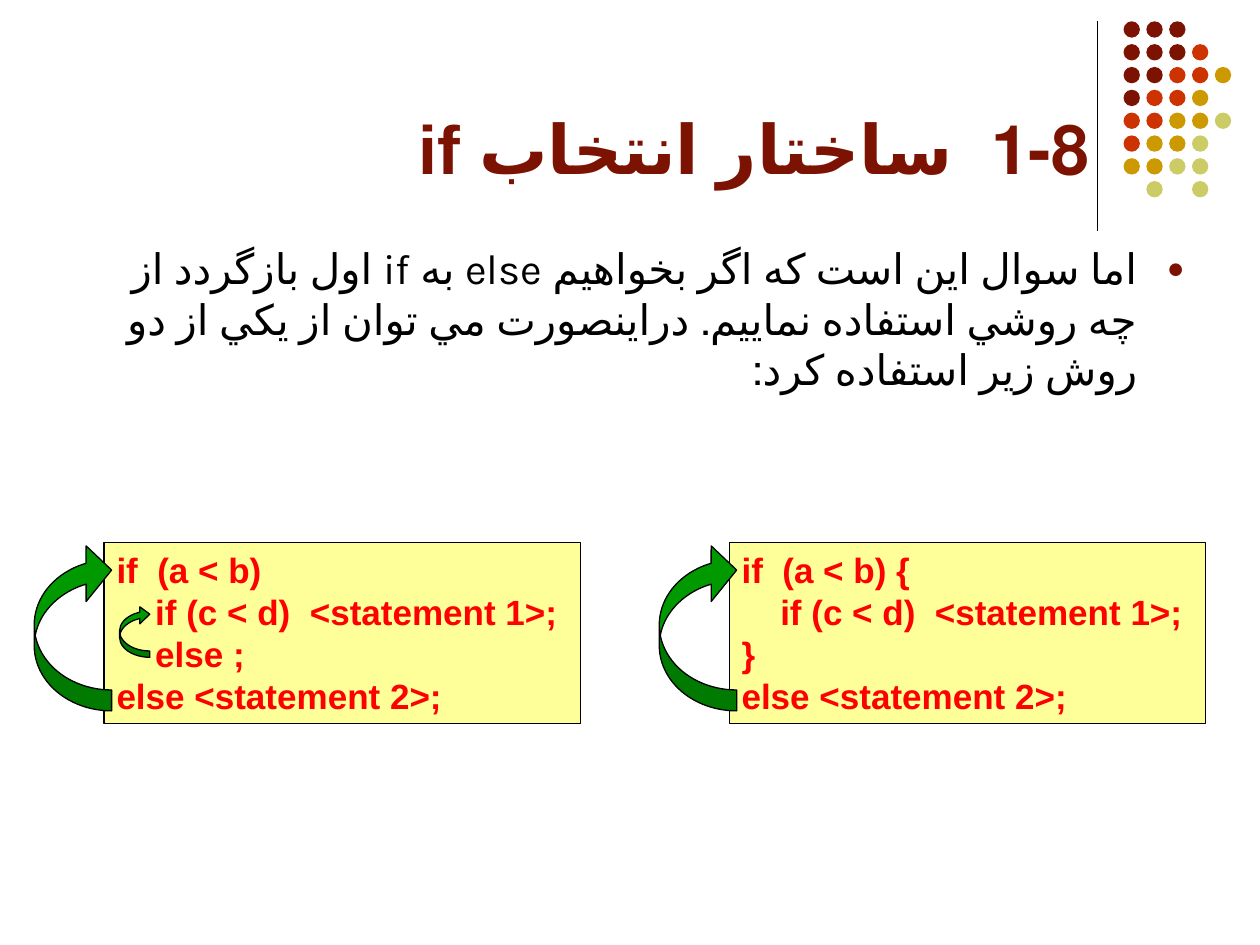
import pptx
import pptx.dml.color
import pptx.enum.shapes
import pptx.enum.text
import pptx.oxml
import pptx.oxml.ns
import pptx.util
import pptx.enum.lang
from pptx.util import Cm

RGBColor = pptx.dml.color.RGBColor
SHAPE = pptx.enum.shapes.MSO_SHAPE
ALIGN = pptx.enum.text.PP_ALIGN
ANCHOR = pptx.enum.text.MSO_ANCHOR
LANGUAGE = pptx.enum.lang.MSO_LANGUAGE_ID

MAROON = RGBColor(0x7C, 0x13, 0x02)
RUST = RGBColor(0xCC, 0x33, 0x00)
GOLD = RGBColor(0xCC, 0x99, 0x00)
OLIVE = RGBColor(0xCC, 0xCC, 0x66)
BLACK = RGBColor(0, 0, 0)
RED = RGBColor(0xFF, 0, 0)
CREAM = RGBColor(0xFF, 0xFF, 0x99)
GREEN = RGBColor(0, 0x99, 0)

DOT_COLORS = {"M": MAROON, "R": RUST, "G": GOLD, "O": OLIVE}
DOT_ROWS = ["MMM", "MMMR", "MMRRG", "MRRG", "RRGGO", "RGGO", "GGOO", " O O"]
CODE_INDENT = 0.78


def write(paragraph, text, size, color, font="Arial", bold=False,
          align=ALIGN.LEFT, rtl=False, indent=0, hanging=0, before=0):
    run = paragraph.add_run()
    run.text = text
    run.font.size = pptx.util.Pt(size)
    run.font.name = font
    run.font.bold = bold
    run.font.color.rgb = color
    run.font.language_id = LANGUAGE.FARSI if rtl else LANGUAGE.ENGLISH_US
    paragraph.alignment = align
    paragraph.space_before = pptx.util.Pt(before)
    properties = paragraph._p.get_or_add_pPr()
    properties.set("rtl", str(int(rtl)))
    properties.set("marL", str(Cm(indent)))
    properties.set("indent", str(Cm(-hanging)))
    return properties


def add_filled(slide, preset, left, top, width, height, fill, outlined=True):
    shape = slide.shapes.add_shape(
        preset, Cm(left), Cm(top), Cm(width), Cm(height))
    shape.shadow.inherit = False
    shape.fill.solid()
    shape.fill.fore_color.rgb = fill
    if outlined:
        shape.line.color.rgb = BLACK
        shape.line.width = pptx.util.Pt(0.75)
    else:
        shape.line.fill.background()
    return shape


def add_ornament(slide, left, top, rule_height):
    rule = slide.shapes.add_connector(
        pptx.enum.shapes.MSO_CONNECTOR.STRAIGHT,
        Cm(left), Cm(top), Cm(left), Cm(top + rule_height))
    rule.line.color.rgb = BLACK
    rule.line.width = pptx.util.Pt(0.75)
    rule._element.spPr.append(pptx.oxml.parse_xml(
        f'<a:effectLst {pptx.oxml.ns.nsdecls("a")}/>'))
    pitch, diameter, gap = 0.46, 0.33, 0.53
    for row, dots in enumerate(DOT_ROWS):
        for column, key in enumerate(dots):
            if key in DOT_COLORS:
                add_filled(slide, SHAPE.OVAL, left + gap + column * pitch,
                           top + row * pitch, diameter, diameter,
                           DOT_COLORS[key], outlined=False)


def add_title(slide, text, left, top, width, height):
    title = slide.shapes.title
    title.left, title.top = Cm(left), Cm(top)
    title.width, title.height = Cm(width), Cm(height)
    frame = title.text_frame
    frame.auto_size = pptx.enum.text.MSO_AUTO_SIZE.NONE
    frame.vertical_anchor = ANCHOR.BOTTOM
    write(frame.paragraphs[0], text, 39, MAROON, bold=True,
          align=ALIGN.RIGHT, rtl=True)


def add_question(slide, text, left, top, width, height):
    question = slide.shapes.add_textbox(
        Cm(left), Cm(top), Cm(width), Cm(height))
    frame = question.text_frame
    frame.word_wrap = True
    properties = write(frame.paragraphs[0], text, 24, BLACK, font="Karla",
                       align=ALIGN.RIGHT, rtl=True, indent=0.95,
                       hanging=0.95, before=6)
    namespace = pptx.oxml.ns.nsdecls("a")
    for bullet in (
            f'<a:buClr {namespace}><a:srgbClr val="{MAROON}"/></a:buClr>',
            f'<a:buSzPct {namespace} val="70000"/>',
            f'<a:buFont {namespace} typeface="Arial"/>',
            f'<a:buChar {namespace} char="●"/>'):
        properties.append(pptx.oxml.parse_xml(bullet))


def add_return_arrow(slide, left, top, width, height, adjustments):
    arrow = add_filled(slide, SHAPE.CURVED_LEFT_ARROW,
                       left, top, width, height, GREEN)
    arrow.rotation = 180
    for index, value in enumerate(adjustments):
        arrow.adjustments[index] = value


def add_code(slide, lines, left, top, width, height, inner_arrow=False):
    code = add_filled(slide, SHAPE.RECTANGLE, left, top, width, height, CREAM)
    frame = code.text_frame
    frame.word_wrap = True
    frame.vertical_anchor = ANCHOR.TOP
    for index, (level, text) in enumerate(lines):
        paragraph = frame.add_paragraph() if index else frame.paragraphs[0]
        write(paragraph, text, 20, RED, bold=True, indent=level * CODE_INDENT)
    add_return_arrow(slide, left - 1.41, top, 1.56, 3.4, (0.27, 0.72, 0.33))
    if inner_arrow:
        add_return_arrow(slide, left + 0.31, top + 1.28, 0.61, 1.04,
                         (0.21, 0.56, 0.33))


def main():
    presentation = pptx.Presentation()
    presentation.slide_width, presentation.slide_height = Cm(25.4), Cm(19.05)
    slide = presentation.slides.add_slide(presentation.slide_layouts[5])
    add_ornament(slide, 22.12, 0.43, 4.22)
    add_title(slide, "1-8  ساختار انتخاب if", 1.27, 0.33, 20.95, 3.6)
    add_question(
        slide,
        "اما سوال اين است كه اگر بخواهيم else به if اول بازگردد از چه روشي "
        "استفاده نماييم. دراينصورت مي توان از يكي از دو روش زير استفاده كرد:",
        1.27, 4.77, 22.86, 3.56)
    nested_if = (1, "if (c < d)  <statement 1>;")
    outer_else = (0, "else <statement 2>;")
    add_code(slide, [(0, "if  (a < b)"), nested_if, (1, "else ;"), outer_else],
             2.1, 10.93, 9.6, 3.66, inner_arrow=True)
    add_code(slide, [(0, "if  (a < b) {"), nested_if, (0, "}"), outer_else],
             14.7, 10.93, 9.6, 3.66)
    presentation.save("out.pptx")


if __name__ == "__main__":
    main()
